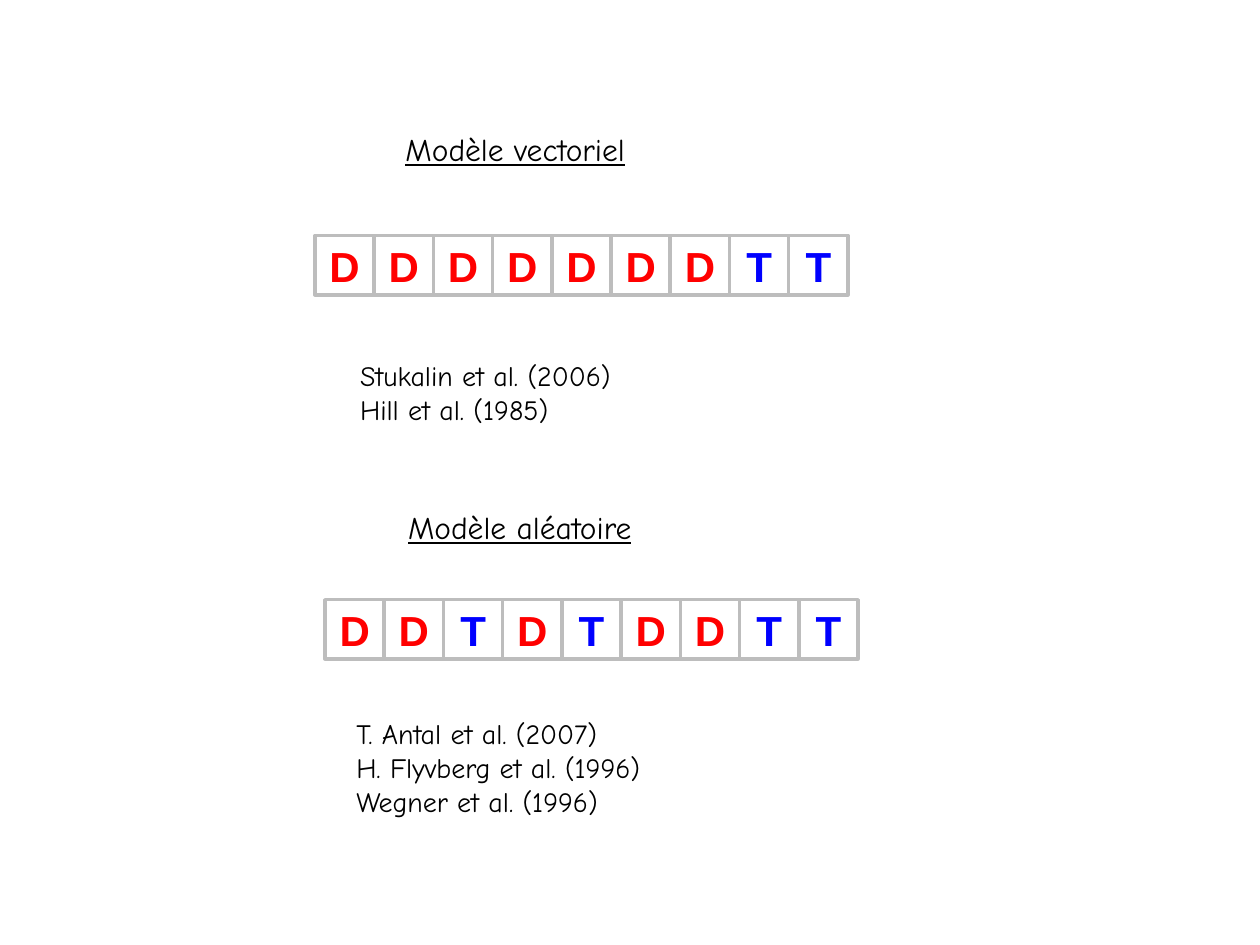
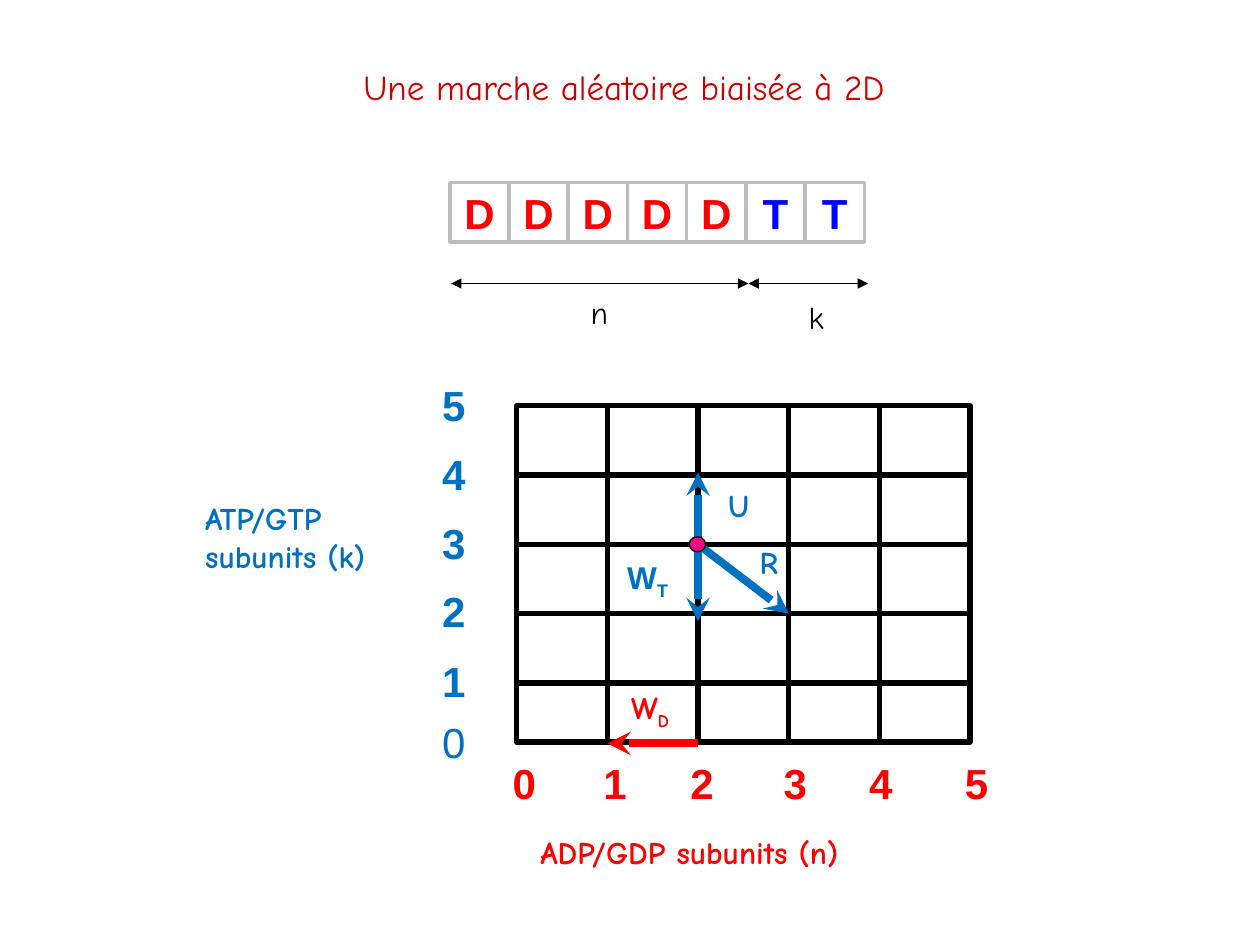
from lxml.etree import SubElement as Sub
from pptx import Presentation
from pptx.dml.color import RGBColor as Rgb
from pptx.enum.shapes import MSO_CONNECTOR as Conn, MSO_SHAPE as Form
from pptx.enum.text import MSO_ANCHOR as Anchor, MSO_AUTO_SIZE as Fit, PP_ALIGN as Align
from pptx.oxml.ns import qn
from pptx.util import Inches, Pt

HUE = {"ink": "000000", "paper": "FFFFFF", "red": "FF0000", "title": "CC0000",
       "blue": "0000FF", "axis": "0070C0", "edge": "BDBDBD", "dot": "FF0080"}
HAND = {"name": "Comic Neue", "size": Pt(18)}
BOLD = HAND | {"bold": True}
NUM = {"name": "Arial", "size": Pt(24), "bold": True}
CELL = 0.47


def tint(name):
    """Return the named colour."""
    return Rgb.from_string(HUE[name])


def put(obj, fmt):
    """Set each format value on an object."""
    for key, val in fmt.items():
        setattr(obj, key, val)


def ink(run, hue, fmt):
    """Style one run of text."""
    put(run.font, fmt)
    run.font.color.rgb = tint(hue)


def text(slide, box, lines, hue="ink", fmt=HAND, sub="", wrap=False, align=Align.LEFT):
    """Write lines in a box, with a subscript after the last one if given."""
    frame = slide.shapes.add_textbox(*map(Inches, box)).text_frame
    put(frame, {"word_wrap": wrap, "auto_size": Fit.SHAPE_TO_FIT_TEXT})
    for i, line in enumerate(lines.split("\n")):
        para = frame.add_paragraph() if i else frame.paragraphs[0]
        para.alignment = align
        run = para.add_run()
        run.text = line
        ink(run, hue, fmt)
    if sub:
        run = para.add_run()
        run.text = sub
        ink(run, hue, fmt)
        run.font._element.set("baseline", "-25000")


def shape(slide, form, box, fill, edge, width):
    """Add a preset shape with its fill and outline."""
    item = slide.shapes.add_shape(form, *map(Inches, box))
    item.shadow.inherit = False
    if fill:
        item.fill.solid()
        item.fill.fore_color.rgb = tint(fill)
    else:
        item.fill.background()
    item.line.color.rgb = tint(edge)
    item.line.width = Pt(width)
    return item


def line(slide, start, end, hue="ink", width=3, **tips):
    """Draw a straight line with optional headEnd and tailEnd tips."""
    item = slide.shapes.add_connector(Conn.STRAIGHT, *map(Inches, start + end))
    item.line.color.rgb = tint(hue)
    item.line.width = Pt(width)
    prop = item._element.spPr
    for end in ("headEnd", "tailEnd"):
        if end in tips:
            Sub(prop.find(qn("a:ln")), qn("a:" + end), type=tips[end])
    Sub(prop, qn("a:effectLst"))


def chain(slide, x, y, units):
    """Draw a row of D and T units from the given corner."""
    for i, unit in enumerate(units):
        item = shape(slide, Form.RECTANGLE, (x + i * CELL, y, CELL, CELL), "paper", "edge", 2)
        frame = item.text_frame
        put(frame, {"vertical_anchor": Anchor.MIDDLE, "word_wrap": True})
        para = frame.paragraphs[0]
        para.alignment = Align.CENTER
        run = para.add_run()
        run.text = unit
        ink(run, "red" if unit == "D" else "blue", NUM)


def model(slide, x, y, name, units, row, refs, note):
    """Show a model: its name, its chain and its references, offset from a corner."""
    text(slide, (x, y, 2.2, 0.4), name, fmt=HAND | {"underline": True})
    chain(slide, x + row[0], y + row[1], units)
    high = 0.1 + 0.27 * len(refs.split("\n"))
    text(slide, (x + note[0], y + note[1], note[2], high), refs, fmt=HAND | {"size": Pt(16)})


def spans(slide, x, y):
    """Draw the chain and the lengths n and k below it."""
    chain(slide, x, y, "DDDDDTT")
    for left, right in ((0.01, 2.37), (2.37, 3.32)):
        line(slide, (x + left, y + 0.8), (x + right, y + 0.8), width=0.75,
             headEnd="triangle", tailEnd="triangle")
    text(slide, (x + 1.02, y + 0.83, 0.33, 0.4), "n")
    text(slide, (x + 2.75, y + 0.87, 0.34, 0.4), "k")


def grid(slide, x, y, wide, high):
    """Draw the lattice with its numbered axes and titles."""
    dx, dy = 0.72, 0.55
    shape(slide, Form.RECTANGLE, (x, y, wide, high), None, "ink", 3)
    for i in range(1, 5):
        line(slide, (x + i * dx, y), (x + i * dx, y + high))
        line(slide, (x, y + i * dy), (x + wide, y + i * dy))
    for i, left in enumerate((-0.13, 0.59, 1.28, 2.02, 2.7, 3.46)):
        text(slide, (x + left, y + 2.74, 0.39, 0.5), str(i), "red", NUM)
    for i, top in enumerate((2.42, 1.93, 1.38, 0.84, 0.29, -0.26)):
        text(slide, (x - 0.69, y + top, 0.39, 0.5), str(i), "axis", NUM | {"bold": i > 0})
    text(slide, (x - 2.57, y + 0.69, 1.72, 0.7), "ATP/GTP\nsubunits (k)", "axis", BOLD, wrap=True)
    text(slide, (x + 0.09, y + 3.34, 2.81, 0.4), "ADP/GDP subunits (n)", "red", BOLD)


def moves(slide, x, y):
    """Draw the moves and their rates around the walker at a point."""
    for start, end, hue in (((0, -0.02), (0, -0.57), "axis"), ((0, 0.06), (0, 0.61), "axis"),
                            ((0, 0), (0.72, 0.55), "axis"), ((0, 1.58), (-0.72, 1.58), "red")):
        line(slide, (x + start[0], y + start[1]), (x + end[0], y + end[1]), hue, 4.5,
             tailEnd="stealth")
    for left, top, wide, name, sub, hue, font in (
            (0.14, -0.51, 0.4, "U", "", "axis", "Comic Neue"),
            (0.39, -0.06, 0.36, "R", "", "axis", "Comic Neue"),
            (-0.66, 0.06, 0.63, "W", "T", "axis", "Arial"),
            (-0.63, 1.09, 0.58, "W", "D", "red", "Comic Neue")):
        text(slide, (x + left, y + top, wide, 0.4), name, hue, BOLD | {"name": font}, sub)
    shape(slide, Form.OVAL, (x - 0.07, y - 0.06, 0.13, 0.12), "dot", "ink", 0.75)


def main():
    """Build both slides and save them."""
    deck = Presentation()
    put(deck, {"slide_width": Inches(10), "slide_height": Inches(7.5)})
    first, second = (deck.slides.add_slide(deck.slide_layouts[6]) for _ in range(2))
    model(first, 3.12, 0.98, "Modèle vectoriel", "DDDDDDDTT", (-0.62, 0.89),
          "Stukalin et al. (2006)\nHill et al. (1985)", (-0.36, 1.82, 2.43))
    model(first, 3.14, 3.98, "Modèle aléatoire", "DDTDTDDTT", (-0.56, 0.78),
          "T. Antal et al. (2007)\nH. Flyvberg et al. (1996)\nWegner et al. (1996)",
          (-0.41, 1.66, 2.74))
    text(second, (0, 0.47, 10, 0.44), "Une marche aléatoire biaisée à 2D ", "title",
         HAND | {"size": Pt(20)}, wrap=True, align=Align.CENTER)
    spans(second, 3.57, 1.45)
    grid(second, 4.1, 3.22, 3.6, 2.67)
    moves(second, 5.54, 4.32)
    deck.save("out.pptx")


if __name__ == "__main__":
    main()
